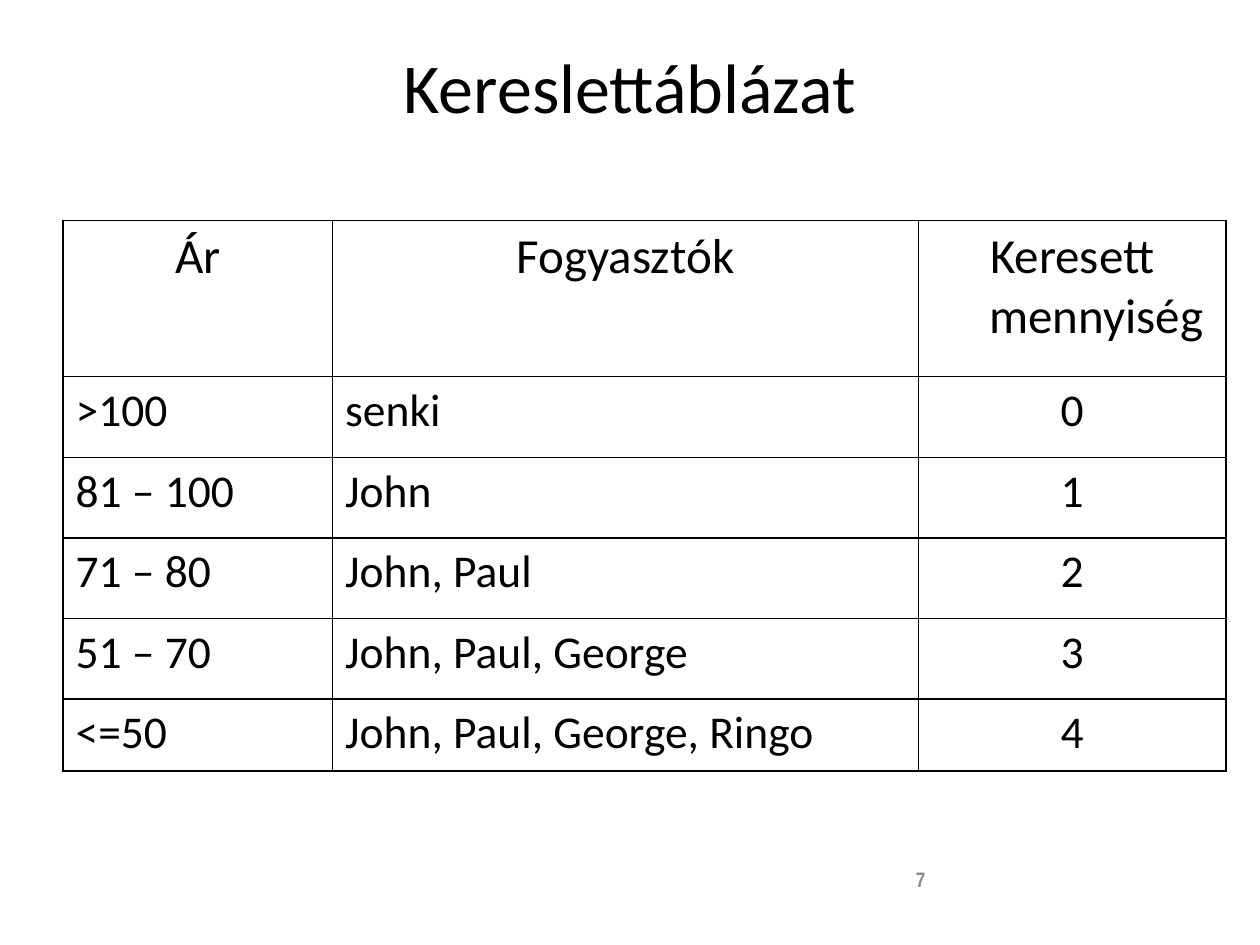
from pptx import Presentation
from pptx import util as u
from pptx.dml.color import RGBColor
from pptx.enum import text
from pptx.oxml import parse_xml
from pptx.oxml.ns import nsdecls

COLORS = {"ink": "000000", "page": "898989", "paper": "FFFFFF"}
HEADERS = ["Ár", "Fogyasztók", "Keresett mennyiség"]
DEMAND = [
    (">100", "senki", "0"),
    ("81 – 100", "John", "1"),
    ("71 – 80", "John, Paul", "2"),
    ("51 – 70", "John, Paul, George", "3"),
    ("<=50", "John, Paul, George, Ringo", "4"),
]
COLUMN_WIDTHS = [2.14, 4.65, 2.44]
ROW_HEIGHTS = [1.24, 0.64, 0.64, 0.64, 0.64, 0.57]
HANGING = u.Inches(0.38)


def write(frame, wording, size, color="ink", font="Calibri", bold=False, centred=False):
    frame.text = wording
    frame.word_wrap = True
    paragraph = frame.paragraphs[0]
    paragraph.alignment = text.PP_ALIGN.CENTER if centred else text.PP_ALIGN.LEFT
    run_font = paragraph.runs[0].font
    run_font.name = font
    run_font.size = u.Pt(size)
    run_font.bold = bold
    run_font.color.rgb = RGBColor.from_string(COLORS[color])
    return paragraph


def add_borders(cell):
    for side in ("lnL", "lnR", "lnT", "lnB"):
        cell._tc.get_or_add_tcPr().append(parse_xml(
            f'<a:{side} {nsdecls("a")} w="{u.Pt(1)}"><a:solidFill>'
            f'<a:srgbClr val="{COLORS["ink"]}"/></a:solidFill></a:{side}>'))


prs = Presentation()
prs.slide_width, prs.slide_height = u.Inches(10), u.Inches(7.5)
slide = prs.slides.add_slide(prs.slide_layouts[6])
slide.background.fill.solid()
slide.background.fill.fore_color.rgb = RGBColor.from_string(COLORS["paper"])

title = slide.shapes.add_textbox(u.Inches(0.5), u.Inches(0.3), u.Inches(9), u.Inches(1.25))
write(title.text_frame, "Kereslettáblázat", 40, centred=True)

demand_table = slide.shapes.add_table(
    len(ROW_HEIGHTS), len(COLUMN_WIDTHS), u.Inches(0.5), u.Inches(1.75),
    u.Inches(sum(COLUMN_WIDTHS)), u.Inches(sum(ROW_HEIGHTS))).table
demand_table.first_row = False
demand_table.horz_banding = False
for column, width in zip(demand_table.columns, COLUMN_WIDTHS):
    column.width = u.Inches(width)
for row, height in zip(demand_table.rows, ROW_HEIGHTS):
    row.height = u.Inches(height)

for r, entries in enumerate([HEADERS, *DEMAND]):
    for c, entry in enumerate(entries):
        cell = demand_table.cell(r, c)
        add_borders(cell)
        cell.fill.background()
        paragraph = write(cell.text_frame, entry, 28 if r == 0 else 26,
                          centred=r == 0 or c == 2)
        indents = paragraph._p.get_or_add_pPr()
        indents.set("marL", str(HANGING))
        indents.set("indent", str(-HANGING))

page_number = slide.shapes.add_textbox(
    u.Inches(7.17), u.Inches(6.83), u.Inches(2.33), u.Inches(0.52))
write(page_number.text_frame, "7", 12, "page", "Arial Narrow", bold=True)

prs.save("out.pptx")
